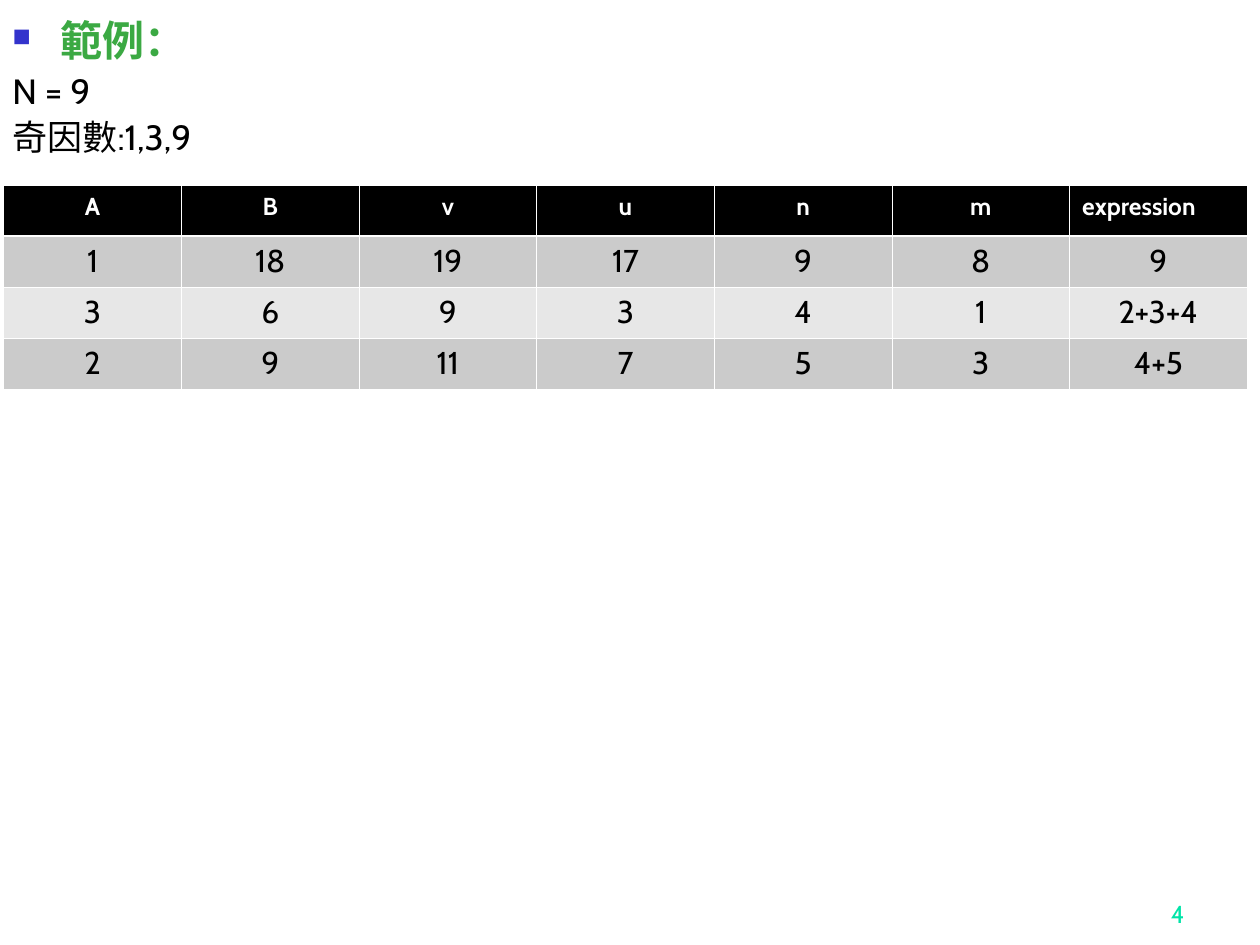
from dataclasses import dataclass

from pptx import Presentation
from pptx.dml.color import RGBColor
from pptx.enum.text import MSO_ANCHOR, PP_ALIGN
from pptx.oxml import parse_xml
from pptx.oxml.ns import nsdecls
from pptx.util import Inches, Pt

FONT = "Cabin"
HEADER = ("A", "B", "v", "u", "n", "m", "expression")
ROWS = (
    ("1", "18", "19", "17", "9", "8", "9"),
    ("3", "6", "9", "3", "4", "1", "2+3+4"),
    ("2", "9", "11", "7", "5", "3", "4+5"),
)
BANDS = ("CBCBCB", "E7E7E7")
BORDER = "FFFFFF"
THIN, THICK = Pt(0.45), Pt(1.47)


@dataclass(frozen=True)
class Style:
    size: float
    color: str
    font: str = FONT
    bold: bool = False


@dataclass(frozen=True)
class Line:
    text: str
    style: Style
    before: float = 0
    bullet: str = ""


HEADING = Style(24, "3BA943", "Times New Roman", True)
BODY = Style(20, "000000")
HEADER_STYLE = Style(14, "FFFFFF", bold=True)
VALUE_STYLE = Style(18, "000000")
NUMBER_STYLE = Style(14, "00E4A8")
LINES = (
    Line("範例：", HEADING, bullet="■"),
    Line("N = 9", BODY, before=5),
    Line("奇因數:1,3,9", BODY, before=5),
)


def rgb(value: str) -> RGBColor:
    return RGBColor.from_string(value)


def write(p, text: str, style: Style, align=PP_ALIGN.LEFT) -> None:
    p.text = text
    p.alignment = align
    for r in p.runs:
        r.font.name = style.font
        r.font.size = Pt(style.size)
        r.font.bold = style.bold
        r.font.color.rgb = rgb(style.color)


def add_bullet(p, char: str, color: str, percent: int) -> None:
    pPr = p._p.get_or_add_pPr()
    for xml in (
        f'<a:buClr {nsdecls("a")}><a:srgbClr val="{color}"/></a:buClr>',
        f'<a:buSzPct {nsdecls("a")} val="{percent * 1000}"/>',
        f'<a:buChar {nsdecls("a")} char="{char}"/>',
    ):
        pPr.append(parse_xml(xml))


def add_lines(s, lines: tuple[Line, ...]) -> None:
    tf = s.shapes.add_textbox(0, Inches(0.11), Inches(10), Inches(7.06)).text_frame
    tf.word_wrap = True
    indent = Inches(0.38)
    for i, line in enumerate(lines):
        p = tf.add_paragraph() if i else tf.paragraphs[0]
        pPr = p._p.get_or_add_pPr()
        pPr.set("marL", str(indent))
        pPr.set("indent", str(-indent))
        if line.bullet:
            add_bullet(p, line.bullet, "3333CC", 60)
        p.line_spacing = 0.9
        if line.before:
            p.space_before = Pt(line.before)
        write(p, line.text, line.style)


def add_number(s, text: str) -> None:
    tf = s.shapes.add_textbox(Inches(7.42), Inches(6.92), Inches(2.08), Inches(0.5)).text_frame
    tf.word_wrap = True
    tf.vertical_anchor = MSO_ANCHOR.BOTTOM
    write(tf.paragraphs[0], text, NUMBER_STYLE, PP_ALIGN.RIGHT)


def set_borders(cell, top: int, bottom: int) -> None:
    tcPr = cell._tc.get_or_add_tcPr()
    for side, width in (("L", THIN), ("R", THIN), ("T", top), ("B", bottom)):
        tcPr.append(parse_xml(
            f'<a:ln{side} {nsdecls("a")} w="{width}"><a:solidFill>'
            f'<a:srgbClr val="{BORDER}"/></a:solidFill></a:ln{side}>'
        ))


def add_factor_table(s) -> None:
    rows = (HEADER, *ROWS)
    table = s.shapes.add_table(
        len(rows), len(HEADER), Inches(0.03), Inches(1.47), Inches(9.88), Inches(1.62)
    ).table
    for col in table.columns:
        col.width = Inches(1.41)
    for i, values in enumerate(rows):
        fill = BANDS[(i - 1) % 2] if i else "000000"
        style = VALUE_STYLE if i else HEADER_STYLE
        for j, value in enumerate(values):
            cell = table.cell(i, j)
            set_borders(cell, THICK if i == 1 else THIN, THIN if i else THICK)
            cell.fill.solid()
            cell.fill.fore_color.rgb = rgb(fill)
            align = PP_ALIGN.LEFT if value == "expression" else PP_ALIGN.CENTER
            write(cell.text_frame.paragraphs[0], value, style, align)


def main() -> None:
    prs = Presentation()
    prs.slide_width, prs.slide_height = Inches(10), Inches(7.5)
    s = prs.slides.add_slide(prs.slide_layouts[6])
    add_lines(s, LINES)
    add_number(s, "4")
    add_factor_table(s)
    prs.save("out.pptx")


if __name__ == "__main__":
    main()
